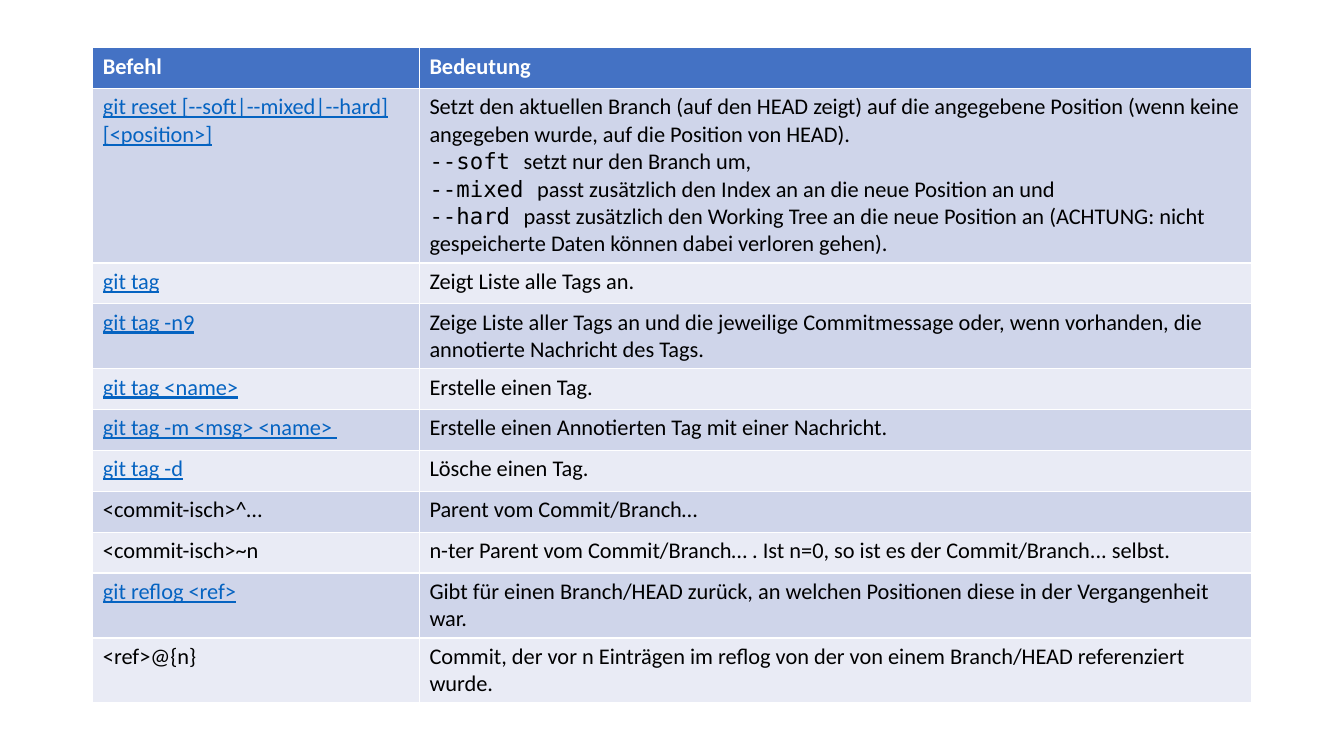
from pptx import Presentation
from pptx.dml.color import RGBColor
from pptx.util import Cm, Pt

# Content: a command or a meaning is a list of paragraphs of (option, text)
HEADINGS = ("Befehl", "Bedeutung")
COMMANDS = [
    ("git reset [--soft|--mixed|--hard] [<position>]", [
        ("", "Setzt den aktuellen Branch (auf den HEAD zeigt) auf die angegebene "
             "Position (wenn keine angegeben wurde, auf die Position von HEAD)."),
        ("--soft ", "setzt nur den Branch um,"),
        ("--mixed ", "passt zusätzlich den Index an an die neue Position an und"),
        ("--hard ", "passt zusätzlich den Working Tree an die neue Position an "
                    "(ACHTUNG: nicht gespeicherte Daten können dabei verloren gehen)."),
    ]),
    ("git tag", [("", "Zeigt Liste alle Tags an.")]),
    ("git tag -n9", [("", "Zeige Liste aller Tags an und die jeweilige Commitmessage oder, "
                          "wenn vorhanden, die annotierte Nachricht des Tags.")]),
    ("git tag <name>", [("", "Erstelle einen Tag.")]),
    ("git tag -m <msg> <name> ", [("", "Erstelle einen Annotierten Tag mit einer Nachricht.")]),
    ("git tag -d", [("", "Lösche einen Tag.")]),
    ("<commit-isch>^…", [("", "Parent vom Commit/Branch…")]),
    ("<commit-isch>~n", [("", "n-ter Parent vom Commit/Branch… . Ist n=0, so ist es der "
                              "Commit/Branch... selbst.")]),
    ("git reflog <ref>", [("", "Gibt für einen Branch/HEAD zurück, an welchen Positionen "
                               "diese in der Vergangenheit war.")]),
    ("<ref>@{n}", [("", "Commit, der vor n Einträgen im reflog von der von einem "
                        "Branch/HEAD referenziert wurde.")]),
]

# Look
WHITE = RGBColor(0xFF, 0xFF, 0xFF)
BLACK = RGBColor(0x00, 0x00, 0x00)
LINK_BLUE = RGBColor(0x05, 0x63, 0xC1)
HEADER_BLUE = RGBColor(0x44, 0x72, 0xC4)
BANDS = (RGBColor(0xCF, 0xD5, 0xEA), RGBColor(0xE9, 0xEB, 0xF5))
TEXT_FONT, CODE_FONT = "Calibri", "DejaVu Sans Mono"
COLUMN_WIDTHS = (Cm(8.23), Cm(20.98))
ROW_HEIGHT = Cm(1.03)


def fill_cell(cell, paragraphs, fill, color, bold=False, underline=False):
    cell.fill.solid()
    cell.fill.fore_color.rgb = fill
    frame = cell.text_frame
    for index, (option, text) in enumerate(paragraphs):
        para = frame.add_paragraph() if index else frame.paragraphs[0]
        for content, name in ((option, CODE_FONT), (text, TEXT_FONT)):
            if content:
                span = para.add_run()
                span.text = content
                font = span.font
                font.name, font.size, font.color.rgb = name, Pt(16), color
                font.bold, font.underline = bold, underline


# Slide and table
deck = Presentation()
deck.slide_width, deck.slide_height = Cm(33.87), Cm(19.05)
page = deck.slides.add_slide(deck.slide_layouts[6])
row_count = len(COMMANDS) + 1
table = page.shapes.add_table(row_count, len(HEADINGS), Cm(2.34), Cm(1.2),
                              sum(COLUMN_WIDTHS), ROW_HEIGHT * row_count).table
for column, width in zip(table.columns, COLUMN_WIDTHS):
    column.width = width
for row in table.rows:
    row.height = ROW_HEIGHT

# Header row
for column, heading in enumerate(HEADINGS):
    fill_cell(table.cell(0, column), [("", heading)], HEADER_BLUE, WHITE, bold=True)

# Command rows: whole git commands look like links
for row, (command, meaning) in enumerate(COMMANDS, start=1):
    band = BANDS[(row - 1) % 2]
    linked = command.startswith("git ")
    fill_cell(table.cell(row, 0), [("", command)], band,
              LINK_BLUE if linked else BLACK, underline=linked)
    fill_cell(table.cell(row, 1), meaning, band, BLACK)

deck.save("out.pptx")
